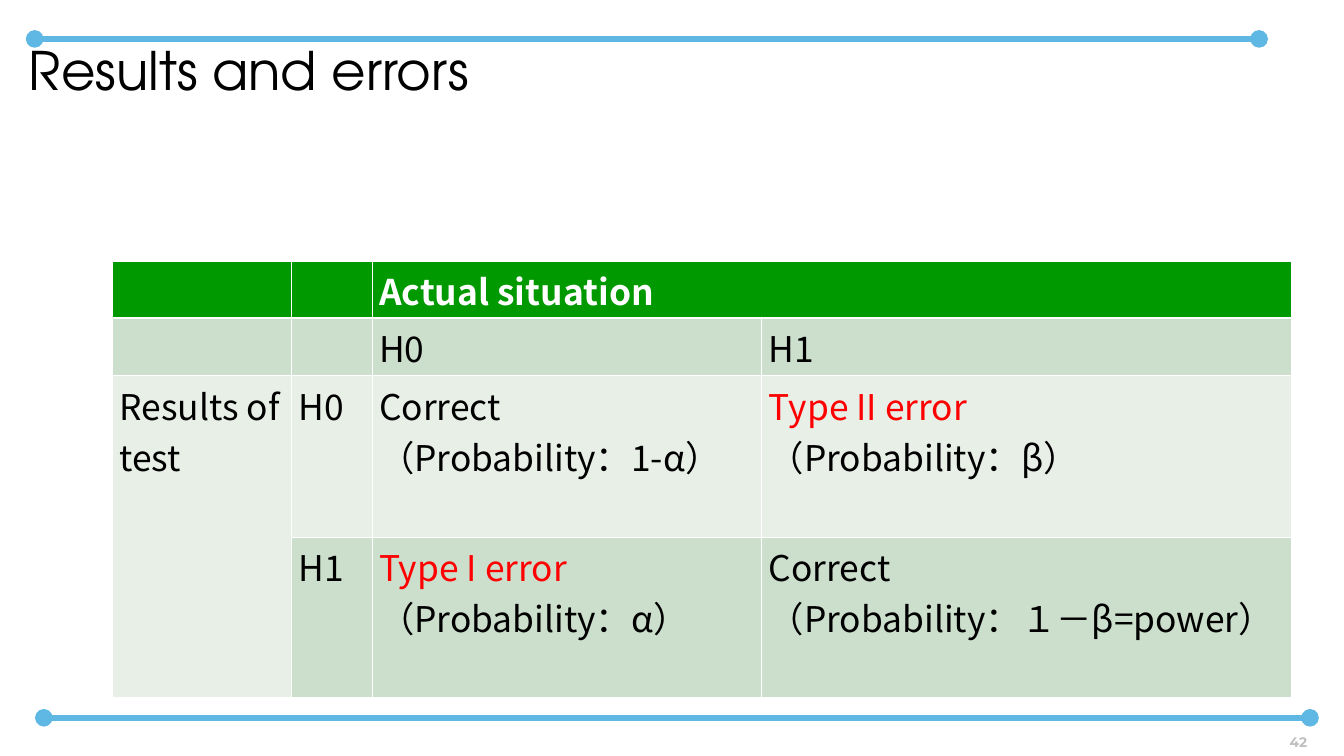
from lxml.etree import SubElement
from pptx import Presentation
from pptx.dml.color import RGBColor
from pptx.enum.shapes import MSO_CONNECTOR
from pptx.enum.text import MSO_ANCHOR, PP_ALIGN
from pptx.oxml.ns import qn
from pptx.util import Pt


def color(value):
    return RGBColor.from_string(value)


def add_run(p, text, font, size, value, bold=False):
    r = p.add_run()
    r.text = text
    r.font.name = font
    r.font.size = Pt(size)
    r.font.bold = bold
    r.font.color.rgb = color(value)
    SubElement(r._r.get_or_add_rPr(), qn("a:ea"), typeface=font)


prs = Presentation()
prs.slide_width, prs.slide_height = Pt(1368), Pt(769.68)
s = prs.slides.add_slide(prs.slide_layouts[6])

for x1, x2, y in [(35.28, 1281.6, 39.6), (44.64, 1333.44, 730.8)]:
    line = s.shapes.add_connector(MSO_CONNECTOR.STRAIGHT, Pt(x1), Pt(y), Pt(x2), Pt(y))
    line.line.color.rgb = color("5FB8E4")
    line.line.width = Pt(6)
    ln = line.line._get_or_add_ln()
    SubElement(ln, qn("a:headEnd"), type="oval")
    SubElement(ln, qn("a:tailEnd"), type="oval")
    SubElement(line._element.spPr, qn("a:effectLst"))

title = s.shapes.add_textbox(Pt(29.52), Pt(38.16), Pt(1252), Pt(111.6))
tf = title.text_frame
tf.word_wrap = True
tf.margin_left = tf.margin_right = tf.margin_top = tf.margin_bottom = 0
add_run(tf.paragraphs[0], "Results and errors", "TeX Gyre Adventor", 54, "000000")

number = s.shapes.add_textbox(Pt(1262.88), Pt(731.52), Pt(74.88), Pt(36))
tf = number.text_frame
tf.word_wrap = True
tf.vertical_anchor = MSO_ANCHOR.BOTTOM
tf.paragraphs[0].alignment = PP_ALIGN.RIGHT
add_run(tf.paragraphs[0], "42", "Montserrat", 14, "BFBFBF", True)

rows = [
    ["", "", "Actual situation", ""],
    ["", "", "H0", "H1"],
    ["Results of test", "H0", "Correct\n（Probability：1-α）", "Type II error\n（Probability：β）"],
    ["", "H1", "Type I error\n（Probability：α）", "Correct\n（Probability：１－β=power）"],
]
fills = ["009900", "CCDECC", "E7EFE7", "CCDECC"]
widths = [182.16, 82.08, 396.72, 538.56]
heights = [58, 59, 164, 163]

frame = s.shapes.add_table(4, 4, Pt(114.48), Pt(265.68), Pt(sum(widths)), Pt(sum(heights)))
table = frame.table
for column, width in zip(table.columns, widths):
    column.width = Pt(width)
for row, height in zip(table.rows, heights):
    row.height = Pt(height)
table.cell(0, 2).merge(table.cell(0, 3))
table.cell(2, 0).merge(table.cell(3, 0))

for i, texts in enumerate(rows):
    for j, text in enumerate(texts):
        cell = table.cell(i, j)
        tcPr = cell._tc.get_or_add_tcPr()
        for side in ["L", "R", "T", "B"]:
            thick = (i, side) in [(0, "B"), (1, "T")]
            ln = SubElement(tcPr, qn("a:ln" + side), w=str(Pt(3 if thick else 1)))
            SubElement(SubElement(ln, qn("a:solidFill")), qn("a:srgbClr"), val="FFFFFF")
        cell.fill.solid()
        cell.fill.fore_color.rgb = color("E7EFE7" if (i, j) == (3, 0) else fills[i])
        if not text:
            continue
        tf = cell.text_frame
        for k, part in enumerate(text.split("\n")):
            p = tf.add_paragraph() if k else tf.paragraphs[0]
            value = "FFFFFF" if i == 0 else "FF0000" if part.startswith("Type") else "000000"
            add_run(p, part, "Noto Sans CJK JP", 36, value, i == 0)

prs.save("out.pptx")
